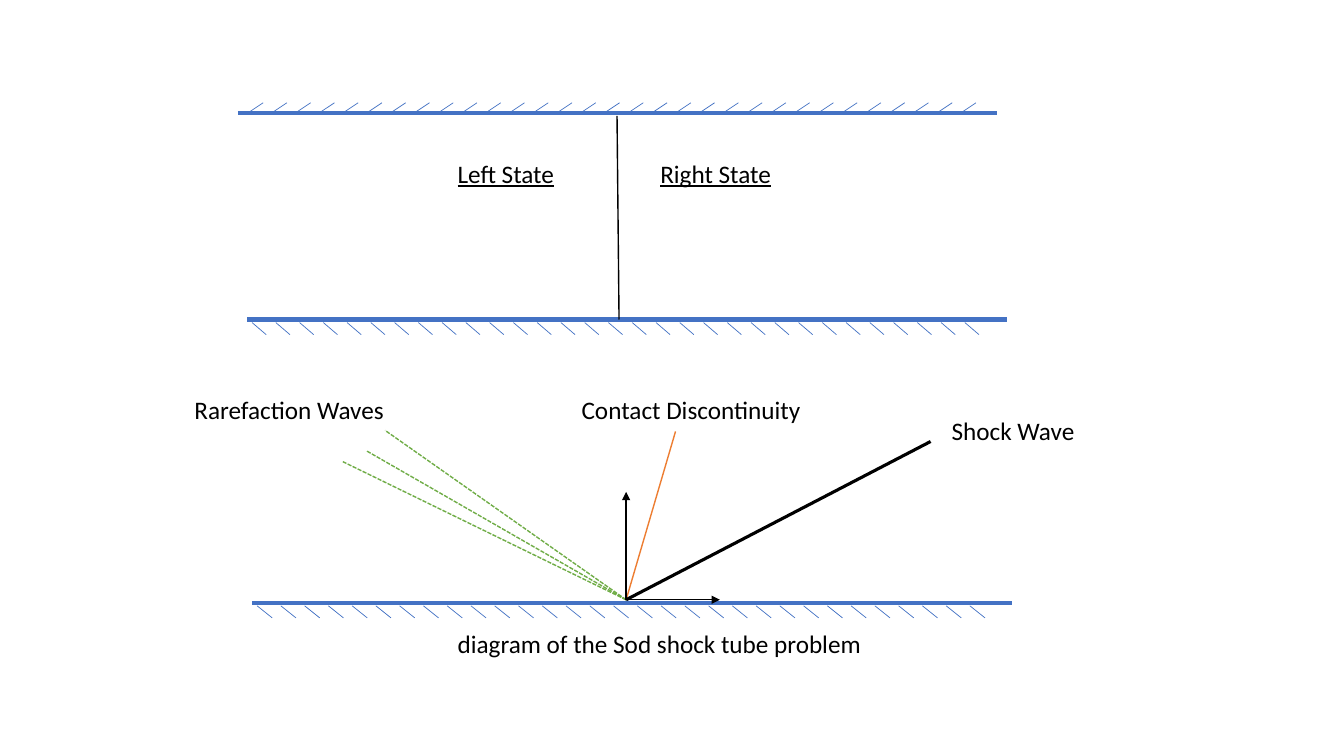
from lxml import etree
from pptx import Presentation
from pptx.dml.color import RGBColor
from pptx.enum import dml, shapes, text
from pptx.oxml.ns import qn
from pptx.util import Inches, Pt

BLUE, BLACK, ORANGE, GREEN = "4472C4", "000000", "ED7D31", "70AD47"

# Walls: start and end x, y, then first hatch (x1, y1, x2, y2)
WALLS = [
    ((2.36, 9.89, 1.12), (2.46, 1.12, 2.61, 1.02)),
    ((2.45, 9.99, 3.17), (2.5, 3.2, 2.64, 3.32)),
    ((2.5, 10.04, 5.98), (2.55, 6.01, 2.7, 6.13)),
]
HATCH_COUNT = 31
HATCH_STEP = 7.07 / (HATCH_COUNT - 1)

DIAPHRAGM = (6.12, 1.15, 6.14, 3.17)
ORIGIN = (6.21, 5.95)
CONTACT_END = (6.7, 4.28)
SHOCK_END = (9.23, 4.38)
RAREFACTION_ENDS = [(3.4, 4.58), (3.63, 4.47), (3.82, 4.27)]
AXIS_ENDS = [(6.21, 4.88), (7.14, 5.95)]

# Labels: text, left, top, width, underlined
LABELS = [
    ("Rarefaction Waves", 1.83, 3.86, 2.1, False),
    ("Contact Discontinuity", 5.67, 3.86, 2.4, False),
    ("Shock Wave", 9.34, 4.07, 1.43, False),
    ("Right State", 6.45, 1.52, 1.31, True),
    ("Left State", 4.44, 1.52, 1.18, True),
    ("diagram of the Sod shock tube problem", 4.44, 6.18, 4.38, False),
]
LABEL_HEIGHT = 0.4


def rgb(hex_color):
    return RGBColor.from_string(hex_color)


def draw_line(slide, ends, color, width, dashed=False, arrow=False):
    line_shape = slide.shapes.add_connector(
        shapes.MSO_CONNECTOR.STRAIGHT, *(Inches(value) for value in ends))
    line = line_shape.line
    line.color.rgb = rgb(color)
    line.width = Pt(width)
    if dashed:
        line.dash_style = dml.MSO_LINE.SQUARE_DOT
        # Short system dashes have no matching member in MSO_LINE
        line._ln.find(qn("a:prstDash")).set("val", "sysDash")
    if arrow:
        etree.SubElement(line._ln, qn("a:tailEnd"), type="triangle")
    etree.SubElement(line_shape._element.spPr, qn("a:effectLst"))


def draw_wall(slide, wall, first_hatch):
    left, right, y = wall
    draw_line(slide, (left, y, right, y), BLUE, 3)
    x1, y1, x2, y2 = first_hatch
    for index in range(HATCH_COUNT):
        shift = index * HATCH_STEP
        draw_line(slide, (x1 + shift, y1, x2 + shift, y2), BLUE, 0.5)


def add_label(slide, wording, left, top, width, underlined):
    box = slide.shapes.add_textbox(
        Inches(left), Inches(top), Inches(width), Inches(LABEL_HEIGHT))
    frame = box.text_frame
    frame.word_wrap = False
    frame.auto_size = text.MSO_AUTO_SIZE.SHAPE_TO_FIT_TEXT
    paragraph = frame.paragraphs[0]
    paragraph.text = wording
    font = paragraph.font
    font.name = "Calibri"
    font.size = Pt(18)
    font.color.rgb = rgb(BLACK)
    if underlined:
        font.underline = True


def main():
    deck = Presentation()
    deck.slide_width, deck.slide_height = Inches(13.33), Inches(7.5)
    slide = deck.slides.add_slide(deck.slide_layouts[6])

    for wall, first_hatch in WALLS:
        draw_wall(slide, wall, first_hatch)
    draw_line(slide, DIAPHRAGM, BLACK, 1)

    draw_line(slide, ORIGIN + CONTACT_END, ORANGE, 1)
    draw_line(slide, ORIGIN + SHOCK_END, BLACK, 2.25)
    for end in RAREFACTION_ENDS:
        draw_line(slide, ORIGIN + end, GREEN, 1, dashed=True)
    for label in LABELS:
        add_label(slide, *label)
    for end in AXIS_ENDS:
        draw_line(slide, ORIGIN + end, BLACK, 1, arrow=True)

    deck.save("out.pptx")


if __name__ == "__main__":
    main()
